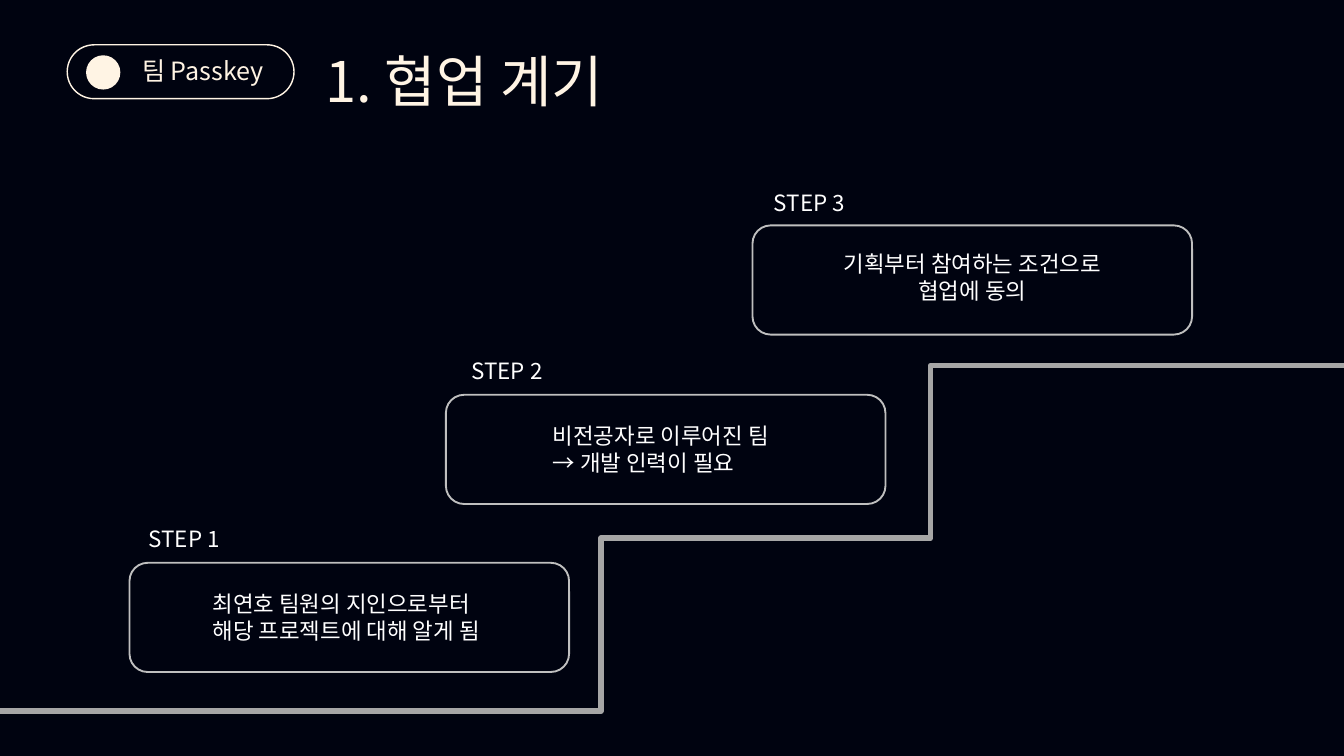
import lxml.etree
import pptx
import pptx.dml.color
import pptx.enum.shapes
import pptx.enum.text
import pptx.oxml.ns
import pptx.util

PX = 9525
FONT = "Noto Sans CJK KR"
NAVY = pptx.dml.color.RGBColor(0x00, 0x03, 0x10)
CREAM = pptx.dml.color.RGBColor(0xFF, 0xF4, 0xE4)
WHITE = pptx.dml.color.RGBColor(0xFF, 0xFF, 0xFF)
SILVER = pptx.dml.color.RGBColor(0xBF, 0xBF, 0xBF)
GRAY = pptx.dml.color.RGBColor(0xA6, 0xA6, 0xA6)
SHAPES = pptx.enum.shapes.MSO_SHAPE
LEFT = pptx.enum.text.PP_ALIGN.LEFT
CENTER = pptx.enum.text.PP_ALIGN.CENTER

STEPS = [
    ("STEP 1", "최연호 팀원의 지인으로부터\n해당 프로젝트에 대해 알게 됨", LEFT,
     (185, 804, 628, 156), (18, -58), (109, 34)),
    ("STEP 2", "비전공자로 이루어진 팀\n→ 개발 인력이 필요", LEFT,
     (637, 564, 628, 156), (27, -58), (143, 34)),
    ("STEP 3", "기획부터 참여하는 조건으로\n협업에 동의", CENTER,
     (1075, 322, 628, 156), (21, -57), (-19, 31)),
]
STAIRS = [
    ((858, 769), (1920, 522), 1329),
    ((0, 1016), (1327, 769), 858),
]


def emu(*lengths):
    """Turn px lengths into EMU."""
    return [pptx.util.Emu(length * PX) for length in lengths]


def write(frame, text, size, color, align=LEFT, leading=None, inset=None):
    """Fill a text frame and format every run in it."""
    frame.text = text
    frame.word_wrap = True
    frame.auto_size = pptx.enum.text.MSO_AUTO_SIZE.NONE
    frame.vertical_anchor = pptx.enum.text.MSO_ANCHOR.TOP
    if inset is not None:
        frame.margin_left = frame.margin_right = inset
        frame.margin_top = frame.margin_bottom = inset
    for para in frame.paragraphs:
        para.alignment = align
        if leading:
            para.line_spacing = pptx.util.Pt(leading)
        for span in para.runs:
            span.font.size = pptx.util.Pt(size)
            span.font.name = FONT
            span.font.color.rgb = color
            east_asian = lxml.etree.SubElement(
                span.font._element, pptx.oxml.ns.qn("a:ea"))
            east_asian.set("typeface", FONT)


def add_outline(page, box, color, width):
    """Add an unfilled rounded rectangle."""
    outline = page.shapes.add_shape(SHAPES.ROUNDED_RECTANGLE, *emu(*box))
    outline.shadow.inherit = False
    outline.fill.background()
    outline.line.color.rgb = color
    outline.line.width = pptx.util.Pt(width)
    return outline


def add_title(page, box):
    """Place the slide title in its placeholder."""
    title = page.shapes.title
    title.left, title.top, title.width, title.height = emu(*box)
    write(title.text_frame, "1. 협업 계기", 60, CREAM, leading=95.3, inset=0)


def add_team_badge(page, box):
    """Draw the team pill with its dot and name."""
    left, top, width, height = box
    pill = add_outline(page, box, CREAM, 1.5)
    pill.adjustments[0] = 0.5
    dot = page.shapes.add_shape(SHAPES.OVAL, *emu(left + 27, top + 15, 49, 49))
    dot.shadow.inherit = False
    dot.fill.solid()
    dot.fill.fore_color.rgb = CREAM
    dot.line.fill.background()
    name = page.shapes.add_textbox(*emu(left + 107, top + 25, 269, 34))
    write(name.text_frame, "팀 Passkey", 26.9, CREAM, leading=24.7, inset=0)


def add_step(page, box, label, text, align, label_offset, text_offset):
    """Draw one step with its label and description."""
    left, top, width, height = box
    add_outline(page, box, SILVER, 2)
    for content, (right, down), tall, alignment in (
            (label, label_offset, 48, LEFT), (text, text_offset, 87, align)):
        note = page.shapes.add_textbox(*emu(left + right, top + down, 666, tall))
        write(note.text_frame, content, 24, WHITE, alignment)


def add_stair(page, start, end, riser):
    """Draw a bent connector that rises at the given x."""
    stair = page.shapes.add_connector(
        pptx.enum.shapes.MSO_CONNECTOR.ELBOW, *emu(*start, *end))
    stair.line.color.rgb = GRAY
    stair.line.width = pptx.util.Pt(6)
    properties = stair._element.spPr
    lxml.etree.SubElement(properties, pptx.oxml.ns.qn("a:effectLst"))
    guides = properties.find(".//" + pptx.oxml.ns.qn("a:avLst"))
    guide = lxml.etree.SubElement(guides, pptx.oxml.ns.qn("a:gd"))
    ratio = (riser - start[0]) / (end[0] - start[0])
    guide.set("name", "adj1")
    guide.set("fmla", f"val {round(ratio * 100000)}")


def main():
    """Build and save the deck."""
    deck = pptx.Presentation()
    deck.slide_width, deck.slide_height = emu(1920, 1080)
    page = deck.slides.add_slide(deck.slide_layouts[5])
    page.background.fill.solid()
    page.background.fill.fore_color.rgb = NAVY
    add_team_badge(page, (96, 64, 324, 77))
    add_title(page, (465, 36, 938, 115))
    for label, text, align, box, label_offset, text_offset in STEPS:
        add_step(page, box, label, text, align, label_offset, text_offset)
    for start, end, riser in STAIRS:
        add_stair(page, start, end, riser)
    deck.save("out.pptx")


if __name__ == "__main__":
    main()
